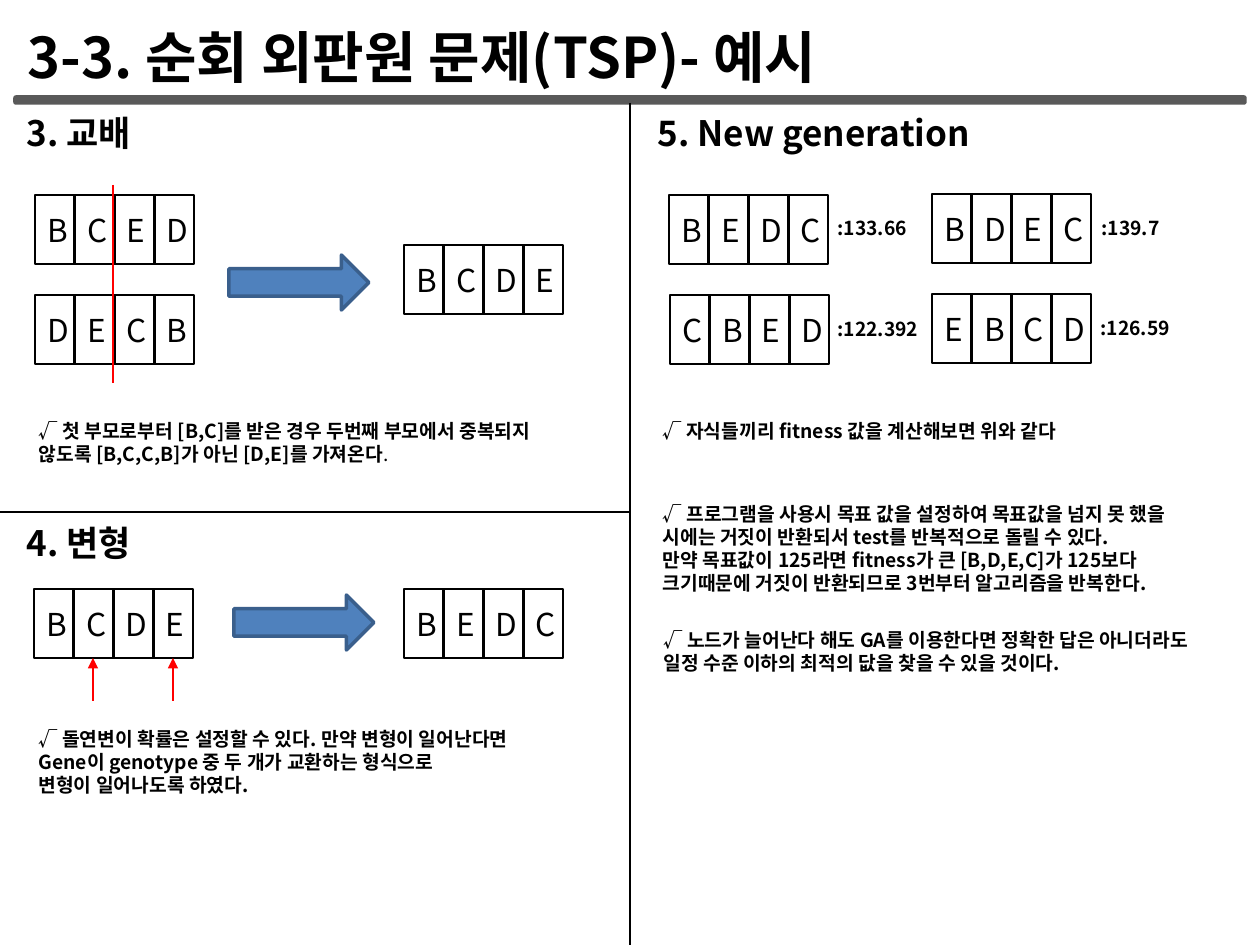
from dataclasses import dataclass
from typing import Optional

from pptx import Presentation
from pptx.dml.color import RGBColor
from pptx.enum.shapes import MSO_CONNECTOR, MSO_SHAPE
from pptx.enum.text import MSO_ANCHOR, MSO_AUTO_SIZE, PP_ALIGN
from pptx.oxml.ns import qn
from pptx.util import Emu, Pt
from lxml import etree

STRAIGHT = MSO_CONNECTOR.STRAIGHT
RECTANGLE = MSO_SHAPE.RECTANGLE
ROUNDED_RECTANGLE = MSO_SHAPE.ROUNDED_RECTANGLE
RIGHT_ARROW = MSO_SHAPE.RIGHT_ARROW
TOP, MIDDLE = MSO_ANCHOR.TOP, MSO_ANCHOR.MIDDLE
LEFT, CENTER = PP_ALIGN.LEFT, PP_ALIGN.CENTER
NO_AUTO_SIZE = MSO_AUTO_SIZE.NONE

EMU_PER_PIXEL = 914400 / 126
SLIDE_WIDTH, SLIDE_HEIGHT = 1260, 945
GENES_PER_ROW, GENE_ROW_WIDTH, GENE_HEIGHT = 4, 159, 69
ARROW_WIDTH, ARROW_HEIGHT = 140, 55
COMPARISON_LAYOUT = 4


@dataclass(frozen=True)
class Theme:
    font: str = "Noto Sans CJK KR"
    black: RGBColor = RGBColor(0, 0, 0)
    red: RGBColor = RGBColor(0xFF, 0, 0)
    gray: RGBColor = RGBColor(0x59, 0x59, 0x59)
    blue: RGBColor = RGBColor(0x4F, 0x81, 0xBD)
    dark_blue: RGBColor = RGBColor(0x3A, 0x5F, 0x8C)
    title_size: float = 32
    heading_size: float = 20
    gene_size: float = 18
    note_size: float = 11


THEME = Theme()


@dataclass(frozen=True)
class TextRun:
    text: str
    bold: bool = True


@dataclass(frozen=True)
class TextBlock:
    left: int
    top: int
    width: int
    height: int
    size: float
    paragraphs: list[list[TextRun]]
    placeholder: Optional[int] = None


@dataclass(frozen=True)
class GeneRow:
    left: int
    top: int
    genes: str


@dataclass(frozen=True)
class Line:
    start: tuple[int, int]
    end: tuple[int, int]
    color: RGBColor
    width: float
    arrowhead: bool = False


def heading(left: int, top: int, text: str, placeholder: Optional[int] = None) -> TextBlock:
    return TextBlock(left, top, 576, 55, THEME.heading_size, [[TextRun(text)]], placeholder)


def note(left: int, top: int, height: int, *lines: str, placeholder: Optional[int] = None) -> TextBlock:
    paragraphs = [[TextRun(line)] for line in lines]
    return TextBlock(left, top, 563, height, THEME.note_size, paragraphs, placeholder)


def fitness(left: int, top: int, value: str) -> TextBlock:
    return TextBlock(left, top, 130, 37, THEME.note_size, [[TextRun(value)]])


TEXT_BLOCKS = [
    TextBlock(15, 16, 1171, 81, THEME.title_size, [[TextRun("3-3. 순회 외판원 문제(TSP)- 예시")]], 0),
    heading(14, 105, "3. 교배", 1),
    heading(645, 105, "5. New generation", 3),
    heading(14, 515, "4. 변형"),
    TextBlock(26, 413, 563, 59, THEME.note_size, [
        [TextRun("√ 첫 부모로부터 [B,C]를 받은 경우 두번째 부모에서 중복되지")],
        [TextRun("않도록 [B,C,C,B]가 아닌 [D,E]를 가져온다"), TextRun(".", False)],
    ], 2),
    note(26, 721, 83, "√ 돌연변이 확률은 설정할 수 있다. 만약 변형이 일어난다면",
         "Gene이 genotype 중 두 개가 교환하는 형식으로", "변형이 일어나도록 하였다."),
    note(650, 413, 37, "√ 자식들끼리 fitness 값을 계산해보면 위와 같다"),
    note(650, 496, 106,
         "√ 프로그램을 사용시 목표 값을 설정하여 목표값을 넘지 못 했을 시에는 거짓이 "
         "반환되서 test를 반복적으로 돌릴 수 있다.",
         "만약 목표값이 125라면 fitness가 큰 [B,D,E,C]가 125보다 크기때문에 거짓이 "
         "반환되므로 3번부터 알고리즘을 반복한다.", placeholder=4),
    note(651, 622, 59, "√ 노드가 늘어난다 해도 GA를 이용한다면 정확한 답은 아니더라도 "
         "일정 수준 이하의 최적의 닶을 찾을 수 있을 것이다."),
    fitness(825, 210, ":133.66"),
    fitness(825, 311, ":122.392"),
    fitness(1089, 210, ":139.7"),
    fitness(1088, 310, ":126.59"),
]
GENE_ROWS = [
    GeneRow(35, 195, "BCED"), GeneRow(35, 295, "DECB"), GeneRow(404, 245, "BCDE"),
    GeneRow(34, 589, "BCDE"), GeneRow(404, 589, "BEDC"),
    GeneRow(669, 195, "BEDC"), GeneRow(932, 194, "BDEC"),
    GeneRow(670, 295, "CBED"), GeneRow(932, 294, "EBCD"),
]
LINES = [
    Line((630, 103), (630, 945), THEME.black, 1.25),
    Line((0, 512), (630, 512), THEME.black, 1.25),
    Line((113, 185), (113, 383), THEME.red, 1.5),
    Line((93, 701), (93, 658), THEME.red, 1, True),
    Line((173, 701), (173, 658), THEME.red, 1, True),
]


def pixels(value: float) -> Emu:
    """Convert layout pixels to EMU."""
    return Emu(round(value * EMU_PER_PIXEL))


def add_run(paragraph, text_run: TextRun, size: float) -> None:
    """Append one formatted run to a paragraph."""
    run = paragraph.add_run()
    run.text = text_run.text
    run.font.name = THEME.font
    run.font.size = Pt(size)
    run.font.bold = text_run.bold
    run.font.color.rgb = THEME.black
    east_asian = etree.SubElement(run.font._element, qn("a:ea"))
    east_asian.set("typeface", THEME.font)


def add_text_block(slide, block: TextBlock) -> None:
    """Fill a placeholder or a new text box with a block of text."""
    bounds = [pixels(value) for value in (block.left, block.top, block.width, block.height)]
    if block.placeholder is None:
        shape = slide.shapes.add_textbox(*bounds)
    else:
        shape = next(item for item in slide.placeholders
                     if item.placeholder_format.idx == block.placeholder)
        shape.left, shape.top, shape.width, shape.height = bounds
    frame = shape.text_frame
    frame.word_wrap = True
    frame.auto_size = NO_AUTO_SIZE
    frame.vertical_anchor = TOP
    for index, runs in enumerate(block.paragraphs):
        paragraph = frame.add_paragraph() if index else frame.paragraphs[0]
        paragraph.alignment = LEFT
        properties = paragraph._p.get_or_add_pPr()
        properties.set("marL", "0")
        properties.set("indent", "0")
        etree.SubElement(properties, qn("a:buNone"))
        paragraph.space_before = Pt(0)
        for text_run in runs:
            add_run(paragraph, text_run, block.size)


def add_filled_shape(slide, kind, left: int, top: int, width: int, height: int,
                     fill: RGBColor, outline: RGBColor) -> None:
    """Draw a filled preset shape."""
    shape = slide.shapes.add_shape(kind, pixels(left), pixels(top), pixels(width), pixels(height))
    shape.shadow.inherit = False
    shape.fill.solid()
    shape.fill.fore_color.rgb = fill
    shape.line.color.rgb = outline
    shape.line.width = Pt(2)


def add_gene_row(slide, row: GeneRow) -> None:
    """Draw one chromosome as a group of gene cells."""
    group = slide.shapes.add_group_shape()
    gene_width = GENE_ROW_WIDTH / GENES_PER_ROW
    for column, gene in enumerate(row.genes):
        cell = group.shapes.add_shape(RECTANGLE, pixels(row.left + column * gene_width),
                                      pixels(row.top), pixels(gene_width), pixels(GENE_HEIGHT))
        cell.shadow.inherit = False
        cell.fill.background()
        cell.line.color.rgb = THEME.black
        cell.line.width = Pt(1.5)
        cell.text_frame.vertical_anchor = MIDDLE
        paragraph = cell.text_frame.paragraphs[0]
        paragraph.alignment = CENTER
        add_run(paragraph, TextRun(gene, False), THEME.gene_size)


def add_line(slide, line: Line) -> None:
    """Draw a straight line with an optional arrowhead."""
    points = [pixels(value) for value in (*line.start, *line.end)]
    connector = slide.shapes.add_connector(STRAIGHT, *points)
    connector.line.color.rgb = line.color
    connector.line.width = Pt(line.width)
    if line.arrowhead:
        etree.SubElement(connector.line._get_or_add_ln(), qn("a:tailEnd")).set("type", "triangle")
    etree.SubElement(connector._element.spPr, qn("a:effectLst"))


def build() -> None:
    """Build and save the slide."""
    presentation = Presentation()
    presentation.slide_width, presentation.slide_height = pixels(SLIDE_WIDTH), pixels(SLIDE_HEIGHT)
    slide = presentation.slides.add_slide(presentation.slide_layouts[COMPARISON_LAYOUT])
    add_filled_shape(slide, ROUNDED_RECTANGLE, 15, 97, 1230, 6, THEME.gray, THEME.gray)
    for block in TEXT_BLOCKS:
        add_text_block(slide, block)
    for row in GENE_ROWS:
        add_gene_row(slide, row)
    for left, top in ((229, 255), (234, 595)):
        add_filled_shape(slide, RIGHT_ARROW, left, top, ARROW_WIDTH, ARROW_HEIGHT,
                         THEME.blue, THEME.dark_blue)
    for line in LINES:
        add_line(slide, line)
    presentation.save("out.pptx")


build()
